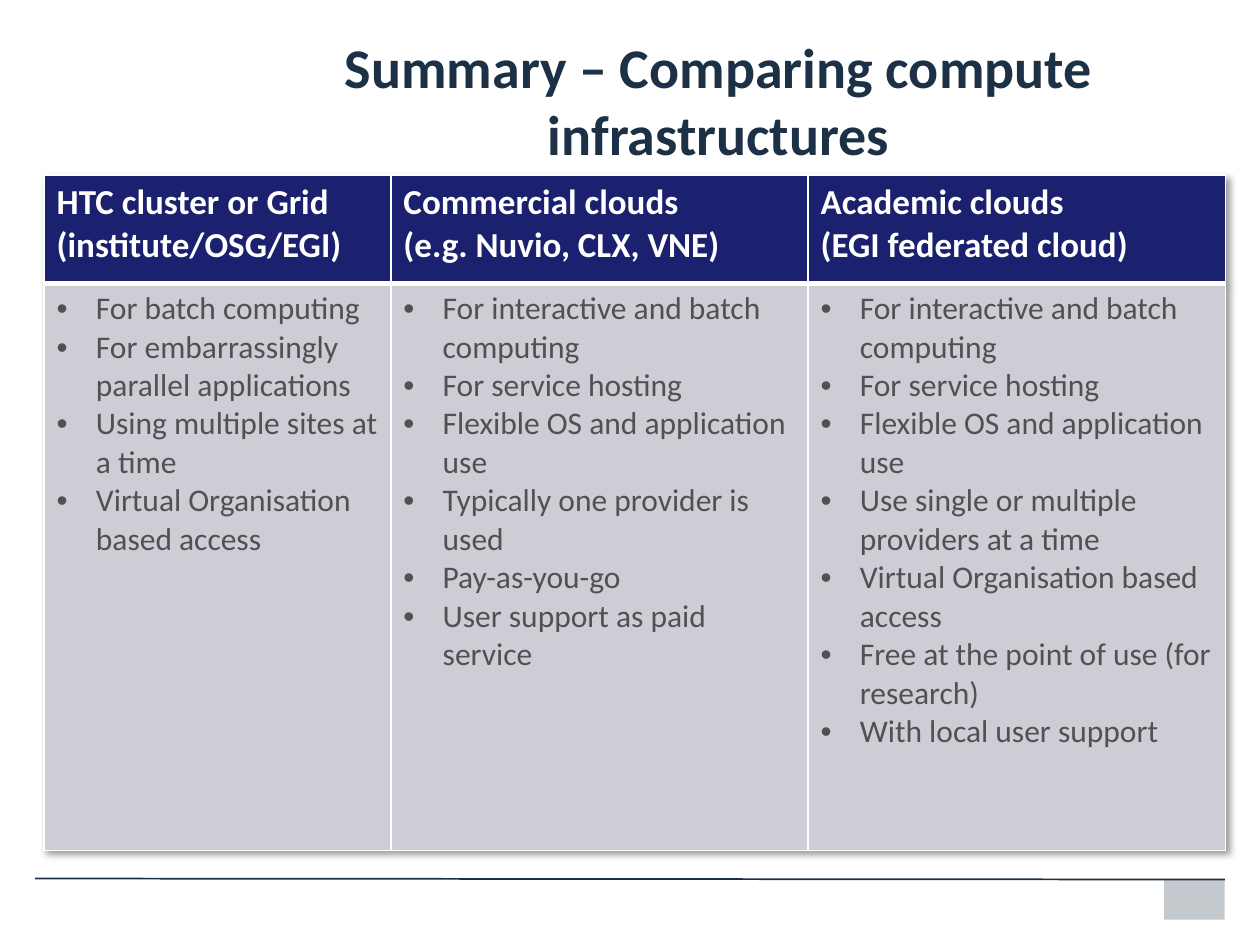
from dataclasses import dataclass

from lxml import etree
from pptx import Presentation
from pptx.dml.color import RGBColor
from pptx.enum.shapes import MSO_CONNECTOR, MSO_SHAPE
from pptx.enum.text import MSO_ANCHOR, PP_ALIGN
from pptx.oxml import parse_xml
from pptx.oxml.ns import nsdecls, qn
from pptx.util import Cm, Pt

STRAIGHT = MSO_CONNECTOR.STRAIGHT
RECTANGLE = MSO_SHAPE.RECTANGLE
TOP = MSO_ANCHOR.TOP
CENTER = PP_ALIGN.CENTER


@dataclass(frozen=True)
class Theme:
    font: str = "Calibri"
    title: str = "1C3046"
    footer: str = "1D2F45"
    header: str = "1B216E"
    body: str = "CDCDD5"
    body_text: str = "515151"
    white: str = "FFFFFF"
    title_size: int = 32
    header_size: int = 20
    body_size: int = 18


THEME = Theme()
TITLE_FORMAT = {"name": THEME.font, "size": Pt(THEME.title_size), "bold": True}
HEADER_FORMAT = {"name": THEME.font, "size": Pt(THEME.header_size), "bold": True}
BODY_FORMAT = {"name": THEME.font, "size": Pt(THEME.body_size), "bold": False}

INFRASTRUCTURES = [
    (
        6.99,
        "HTC cluster or Grid \v(institute/OSG/EGI)",
        [
            "For batch computing",
            "For embarrassingly parallel applications",
            "Using multiple sites at a time",
            "Virtual Organisation based access",
        ],
    ),
    (
        8.41,
        "Commercial clouds \v(e.g. Nuvio, CLX, VNE)",
        [
            "For interactive and batch computing",
            "For service hosting",
            "Flexible OS and application use",
            "Typically one provider is used",
            "Pay-as-you-go",
            "User support as paid service",
        ],
    ),
    (
        8.41,
        "Academic clouds\v(EGI federated cloud)",
        [
            "For interactive and batch computing",
            "For service hosting",
            "Flexible OS and application use",
            "Use single or multiple providers at a time",
            "Virtual Organisation based access",
            "Free at the point of use (for research)",
            "With local user support",
        ],
    ),
]


def rgb(color):
    return RGBColor.from_string(color)


def apply_format(target, values):
    for name, value in values.items():
        setattr(target, name, value)


def style_font(paragraph, values, color):
    apply_format(paragraph.font, values)
    paragraph.font.color.rgb = rgb(color)


def add_bullet(paragraph):
    properties = paragraph._p.get_or_add_pPr()
    properties.set("marL", str(Cm(0.79)))
    properties.set("indent", str(-Cm(0.79)))
    bullet_font = etree.SubElement(properties, qn("a:buFont"))
    bullet_font.set("typeface", "Arial")
    etree.SubElement(properties, qn("a:buChar")).set("char", "•")


def style_cell(cell, color, edge_widths):
    properties = cell._tc.get_or_add_tcPr()
    for edge, width in edge_widths.items():
        properties.append(parse_xml(
            f'<a:ln{edge} {nsdecls("a")} w="{Pt(width)}"><a:solidFill>'
            f'<a:srgbClr val="{THEME.white}"/></a:solidFill></a:ln{edge}>'
        ))
    cell.fill.solid()
    cell.fill.fore_color.rgb = rgb(color)


def add_table_shadow(table):
    table._tbl.tblPr.insert(0, parse_xml(
        f'<a:effectLst {nsdecls("a")}><a:outerShdw blurRad="50800" '
        'dist="38100" dir="2700000" algn="tl" rotWithShape="0">'
        '<a:srgbClr val="000000"><a:alpha val="40000"/></a:srgbClr>'
        '</a:outerShdw></a:effectLst>'
    ))


def add_title(slide, left, top, width, height):
    title = slide.shapes.add_textbox(Cm(left), Cm(top), Cm(width), Cm(height))
    title.fill.solid()
    title.fill.fore_color.rgb = rgb(THEME.white)
    apply_format(title.text_frame, {"word_wrap": True, "vertical_anchor": TOP})
    heading = title.text_frame.paragraphs[0]
    heading.text = "Summary – Comparing compute infrastructures"
    heading.alignment = CENTER
    style_font(heading, TITLE_FORMAT, THEME.title)


def add_comparison(slide, left, top, header_height, body_height):
    total_width = sum(width for width, _, _ in INFRASTRUCTURES)
    table = slide.shapes.add_table(
        2, len(INFRASTRUCTURES), Cm(left), Cm(top),
        Cm(total_width), Cm(header_height + body_height),
    ).table
    table.horz_banding = False
    add_table_shadow(table)
    for row, height in zip(table.rows, (header_height, body_height)):
        row.height = Cm(height)

    for index, (width, name, features) in enumerate(INFRASTRUCTURES):
        table.columns[index].width = Cm(width)
        header, body = table.cell(0, index), table.cell(1, index)
        style_cell(header, THEME.header, {"L": 1, "R": 1, "T": 1, "B": 3})
        style_cell(body, THEME.body, {"L": 1, "R": 1, "T": 3, "B": 1})
        heading = header.text_frame.paragraphs[0]
        heading.text = name
        style_font(heading, HEADER_FORMAT, THEME.white)
        body.text_frame.text = "\n".join(features)
        for feature in body.text_frame.paragraphs:
            add_bullet(feature)
            style_font(feature, BODY_FORMAT, THEME.body_text)


def add_footer(slide, left, top, width, height):
    right = left + width
    rule = slide.shapes.add_connector(
        STRAIGHT, Cm(right), Cm(top + 0.02), Cm(left), Cm(top)
    )
    rule.line.color.rgb = rgb(THEME.footer)
    rule.line.width = Pt(1)
    etree.SubElement(rule._element.spPr, qn("a:effectLst"))

    badge_width = 1.22
    badge = slide.shapes.add_shape(
        RECTANGLE, Cm(right - badge_width), Cm(top + 0.02),
        Cm(badge_width), Cm(height),
    )
    badge.shadow.inherit = False
    badge.line.fill.background()
    badge.fill.solid()
    badge.fill.fore_color.rgb = rgb(THEME.footer)
    color = badge._element.spPr.find(qn("a:solidFill"))[0]
    etree.SubElement(color, qn("a:alpha")).set("val", "26000")


def main():
    presentation = Presentation()
    apply_format(presentation, {"slide_width": Cm(25.4), "slide_height": Cm(19.05)})
    slide = presentation.slides.add_slide(presentation.slide_layouts[6])
    add_footer(slide, 0.71, 17.71, 23.98, 0.81)
    add_title(slide, 4.29, 0.53, 20.4, 2.36)
    add_comparison(slide, 0.89, 3.53, 2.18, 11.43)
    presentation.save("out.pptx")


if __name__ == "__main__":
    main()
